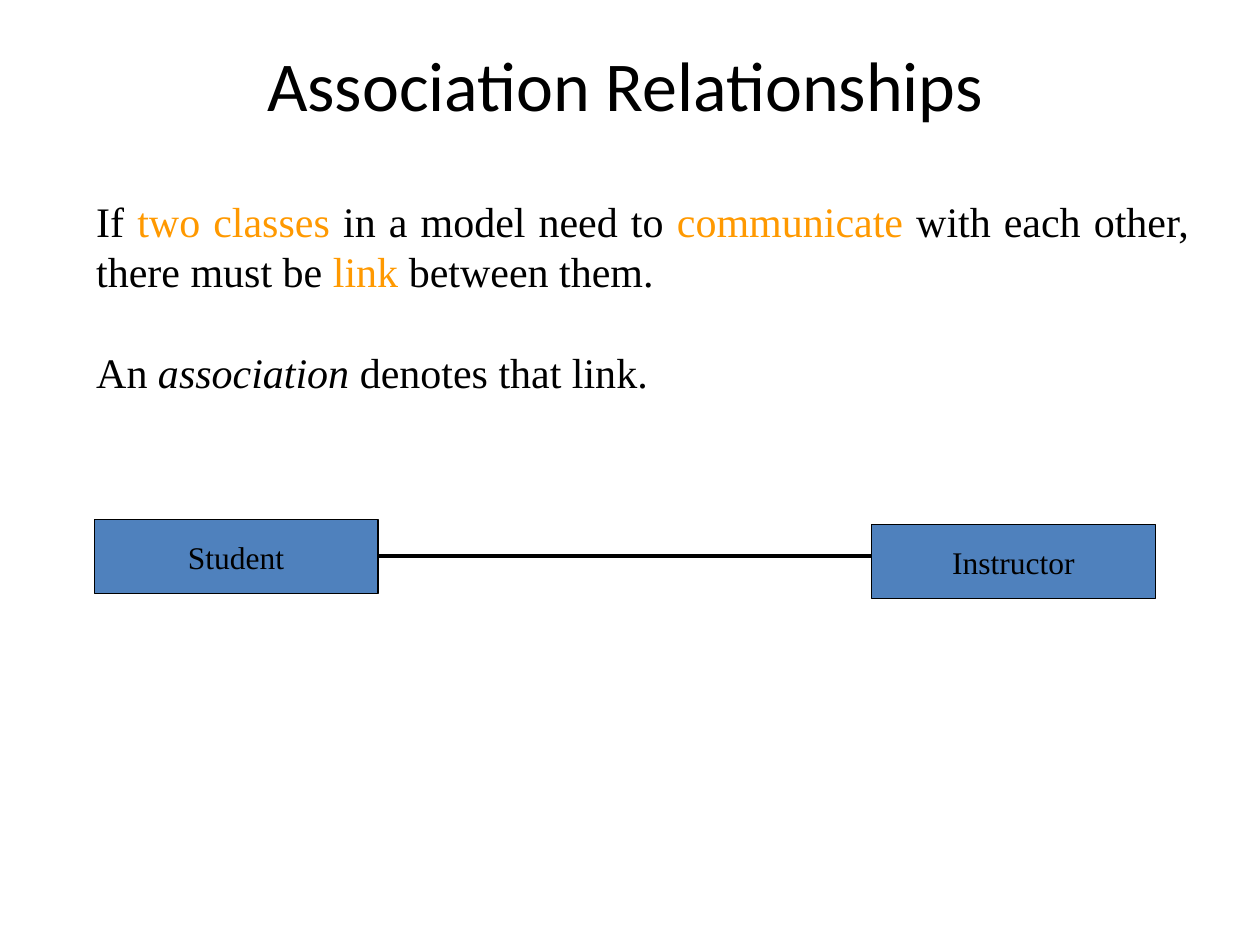
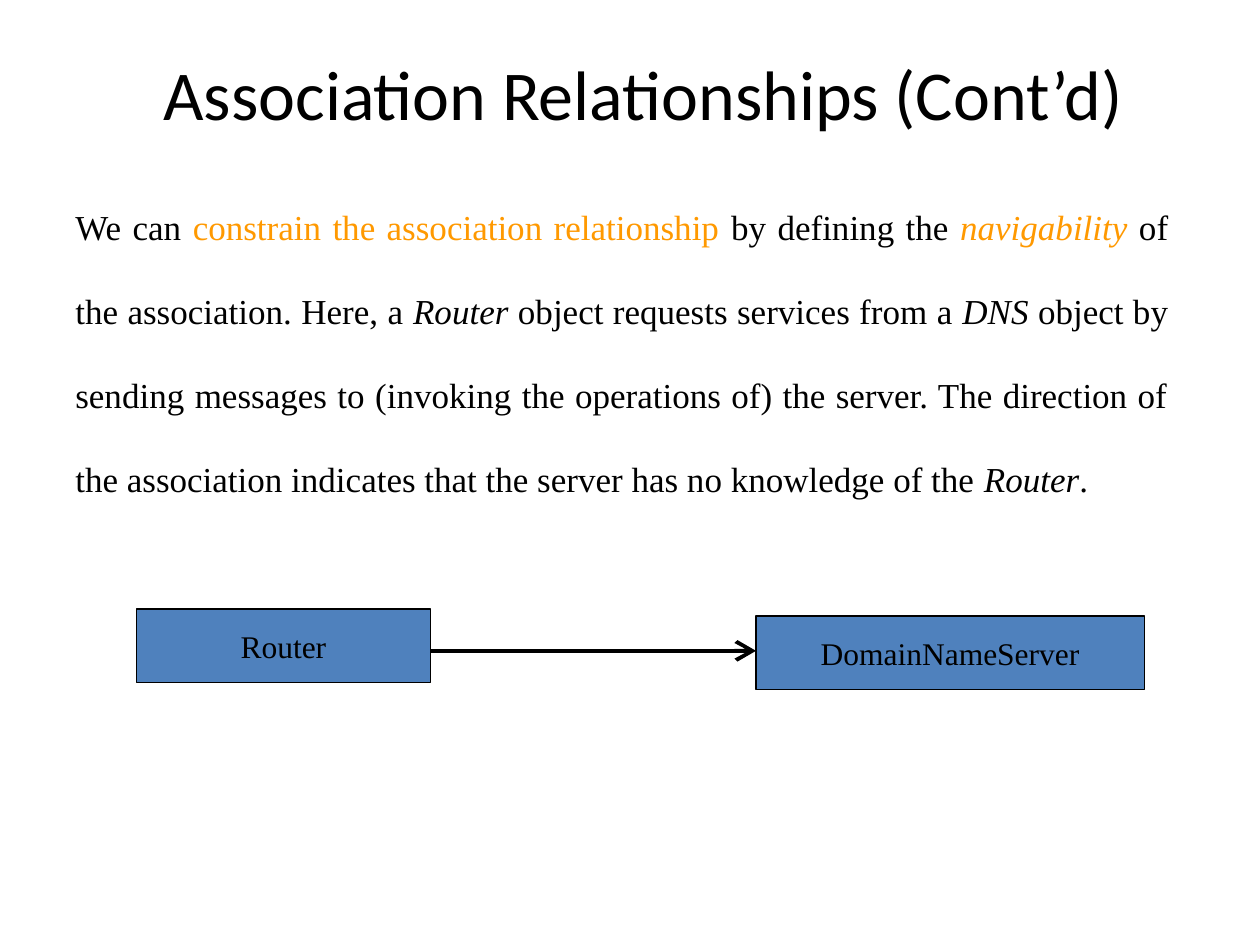
from pptx import Presentation
from pptx.dml.color import RGBColor
from pptx.enum.shapes import MSO_CONNECTOR as Link, MSO_SHAPE as Shape
from pptx.enum.text import MSO_ANCHOR as Anchor, MSO_AUTO_SIZE as Fit, PP_ALIGN as Align
from pptx.oxml.ns import qn
from pptx.util import Cm, Pt
from lxml.etree import SubElement

BLACK = RGBColor(0x00, 0x00, 0x00)
BLUE = RGBColor(0x4F, 0x81, 0xBD)
ORANGE = RGBColor(0xFF, 0x99, 0x00)
HEAD_FONT = "Calibri"
TEXT_FONT = "Times New Roman"
BOX_HIGH = 1.48


def style(par, font, size, align):
    par.alignment = align
    par.font.name = font
    par.font.size = Pt(size)
    par.font.color.rgb = BLACK


def place(left, top, width, height):
    return [Cm(side) for side in (left, top, width, height)]


def add_slide(deck, title, area):
    """Title-only slide with its heading placed."""
    slide = deck.slides.add_slide(deck.slide_layouts[5])
    head = slide.shapes.title
    head.left, head.top, head.width, head.height = place(*area)
    frame = head.text_frame
    frame.text = title
    frame.auto_size = Fit.NONE
    frame.vertical_anchor = Anchor.MIDDLE
    style(frame.paragraphs[0], HEAD_FONT, 40, Align.CENTER)
    return slide


def add_text(slide, area, pars, size, lines=1.0, gap=0):
    """Justified text; each run is (words, marks): o = orange, i = italic."""
    frame = slide.shapes.add_textbox(*place(*area)).text_frame
    frame.word_wrap = True
    for index, runs in enumerate(pars):
        par = frame.add_paragraph() if index else frame.paragraphs[0]
        style(par, TEXT_FONT, size, Align.JUSTIFY)
        par.line_spacing = lines
        par.space_before = Pt(gap if index else 0)
        for words, marks in runs:
            run = par.add_run()
            run.text = words
            if "o" in marks:
                run.font.color.rgb = ORANGE
            if "i" in marks:
                run.font.italic = True


def add_class(slide, name, left, top, width):
    box = slide.shapes.add_shape(Shape.RECTANGLE, *place(left, top, width, BOX_HIGH))
    box.shadow.inherit = False
    box.fill.solid()
    box.fill.fore_color.rgb = BLUE
    box.line.color.rgb = BLACK
    box.line.width = Pt(0.75)
    frame = box.text_frame
    frame.text = name
    frame.word_wrap = False
    frame.vertical_anchor = Anchor.MIDDLE
    style(frame.paragraphs[0], TEXT_FONT, 18, Align.CENTER)
    return box


def add_link(slide, start, end, level, arrow=False):
    """Level line from the right edge of one class to the left of the next."""
    line = slide.shapes.add_connector(
        Link.STRAIGHT, start.left + start.width, Cm(level), end.left, Cm(level))
    line.line.color.rgb = BLACK
    line.line.width = Pt(2.25)
    props = line._element.spPr
    if arrow:
        SubElement(props.find(qn("a:ln")), qn("a:tailEnd"),
                   type="arrow", w="lg", len="lg")
    SubElement(props, qn("a:effectLst"))


def main():
    deck = Presentation()
    deck.slide_width, deck.slide_height = Cm(25.4), Cm(19.05)

    # Plain link between two classes
    slide = add_slide(deck, "Association Relationships", (2.26, 1.09, 20.68, 1.19))
    add_text(slide, (1.69, 3.81, 22.53, 4.32), [
        [("If ", ""), ("two classes ", "o"), ("in a model need to ", ""),
         ("communicate ", "o"), ("with each other, there must be ", ""),
         ("link", "o"), (" between them.", "")],
        [("An ", ""), ("association", "i"), (" denotes that link.", "")],
    ], 24, gap=29)
    pupil = add_class(slide, "Student", 1.9, 10.48, 5.72)
    tutor = add_class(slide, "Instructor", 17.57, 10.58, 5.72)
    add_link(slide, pupil, tutor, 11.21)

    # Link with one direction
    slide = add_slide(deck, "Association Relationships (Cont’d)",
                      (2.32, 1.27, 21.29, 1.19))
    add_text(slide, (1.27, 3.17, 22.53, 7.04), [
        [("We can ", ""), ("constrain the association relationship ", "o"),
         ("by defining the ", ""), ("navigability", "oi"),
         (" of the association. Here, a ", ""), ("Router", "i"),
         (" object requests services from a ", ""), ("DNS", "i"),
         (" object by sending messages to (invoking the operations of) the server. "
          "The direction of the association indicates that the server has no "
          "knowledge of the ", ""), ("Router", "i"), (".", "")],
    ], 20, lines=2.0)
    router = add_class(slide, "Router", 2.75, 12.28, 5.93)
    server = add_class(slide, "DomainNameServer", 15.24, 12.42, 7.83)
    add_link(slide, router, server, 13.12, arrow=True)

    deck.save("out.pptx")


if __name__ == "__main__":
    main()
